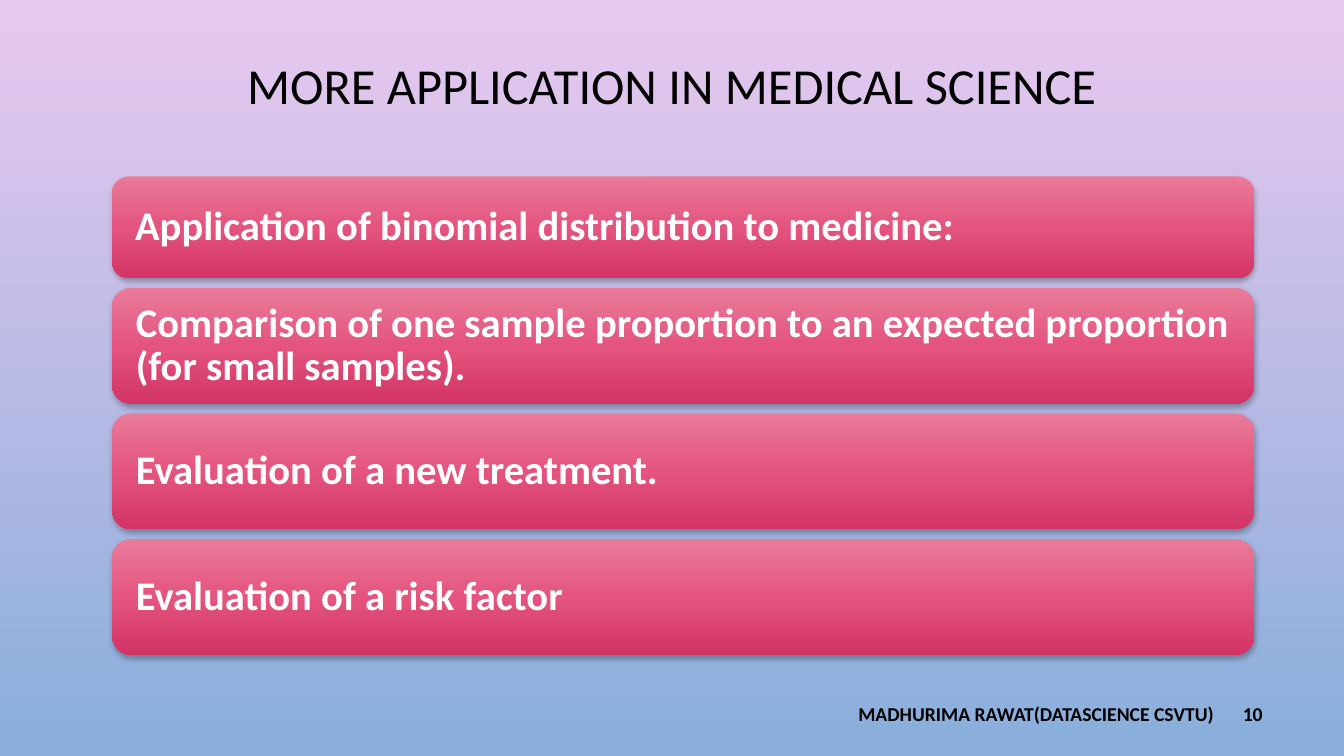
"""Builds the slide on further applications in medical science."""
from copy import deepcopy

from lxml import etree
from pptx import Presentation
from pptx.dml.color import RGBColor
from pptx.enum.shapes import MSO_SHAPE
from pptx.enum.text import MSO_ANCHOR, PP_ALIGN
from pptx.oxml import parse_xml
from pptx.util import Pt

ROUNDED = MSO_SHAPE.ROUNDED_RECTANGLE
MIDDLE = MSO_ANCHOR.MIDDLE
LEFT, CENTER, RIGHT = PP_ALIGN.LEFT, PP_ALIGN.CENTER, PP_ALIGN.RIGHT
DOWNWARD = 270
SHADOW = (
    '<a:outerShdw xmlns:a="http://schemas.openxmlformats.org/drawingml/2006/main"'
    ' blurRad="50800" dist="25400" dir="5400000" rotWithShape="0">'
    '<a:srgbClr val="000000"><a:alpha val="28000"/></a:srgbClr></a:outerShdw>'
)


def write(shape, text, size, color="000000", bold=False, align=LEFT,
          inset=7.2, spacing=1.0):
    frame = shape.text_frame
    frame.word_wrap = True
    frame.vertical_anchor = MIDDLE
    frame.margin_left = frame.margin_right = Pt(inset)
    paragraph = frame.paragraphs[0]
    paragraph.text = text
    paragraph.alignment = align
    paragraph.line_spacing = spacing
    paragraph.font.name = "Calibri"
    paragraph.font.size = Pt(size)
    paragraph.font.bold = bold
    paragraph.font.color.rgb = RGBColor.from_string(color)


def shade(fill, element, colors):
    fill.gradient()
    fill.gradient_angle = DOWNWARD
    stop_list = element.xpath(".//a:gsLst")[0]
    for _ in colors[2:]:
        stop_list.append(deepcopy(stop_list[-1]))
    for index, (stop, color) in enumerate(zip(fill.gradient_stops, colors)):
        stop.position = index / (len(colors) - 1)
        stop.color.rgb = RGBColor.from_string(color)


presentation = Presentation()
presentation.slide_width = Pt(960)
presentation.slide_height = Pt(540)
slide = presentation.slides.add_slide(presentation.slide_layouts[6])
shade(slide.background.fill, slide.element, ["E9C8EF", "89AEDB"])

title = slide.shapes.add_textbox(Pt(72), Pt(0), Pt(816), Pt(126))
write(title, "MORE APPLICATION IN MEDICAL SCIENCE", 36, align=CENTER, spacing=0.9)

applications = [
    ("Application of binomial distribution to medicine:", 72.7),
    ("Comparison of one sample proportion to an expected proportion "
     "(for small samples).", 82.8),
    ("Evaluation of a new treatment.", 82.8),
    ("Evaluation of a risk factor", 82.8),
]
bar_gap = 6.9
bar_top = 126
for application, bar_height in applications:
    bar = slide.shapes.add_shape(ROUNDED, Pt(80), Pt(bar_top), Pt(816), Pt(bar_height))
    shade(bar.fill, bar.element, ["E97B99", "E4547F", "D23465"])
    bar.line.fill.background()
    bar.shadow.inherit = False
    bar.element.xpath(".//a:effectLst")[0].append(parse_xml(SHADOW))
    write(bar, application, 29, color="FFFFFF", bold=True, inset=13, spacing=0.9)
    bar_top += bar_height + bar_gap

footer_parts = [
    ("MADHURIMA RAWAT(DATASCIENCE CSVTU)", 606, 276, LEFT),
    ("10", 849, 60, RIGHT),
]
for footer_text, left, width, align in footer_parts:
    footer = slide.shapes.add_textbox(Pt(left), Pt(495.5), Pt(width), Pt(29))
    write(footer, footer_text, 14, bold=True, align=align)

presentation.save("out.pptx")
